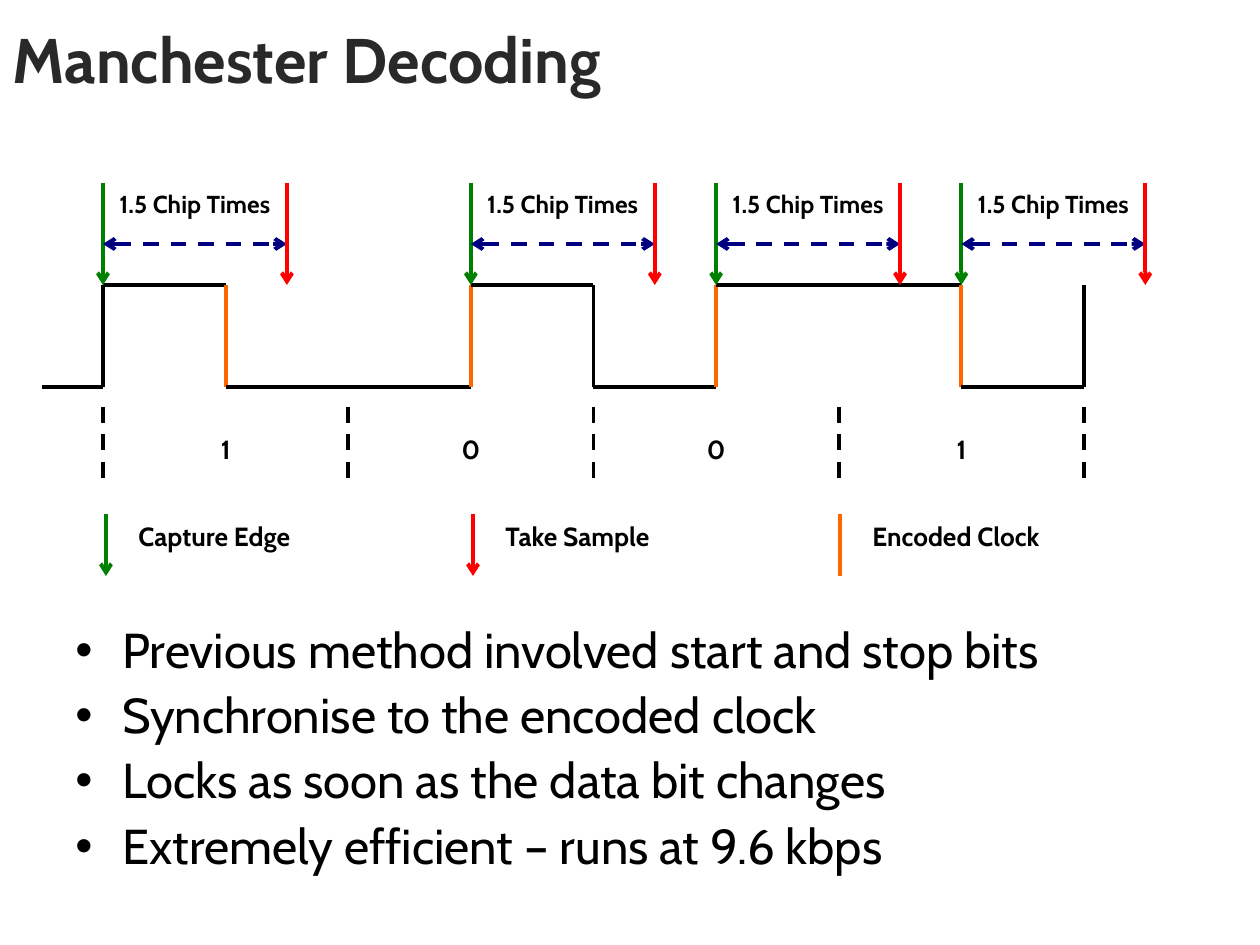
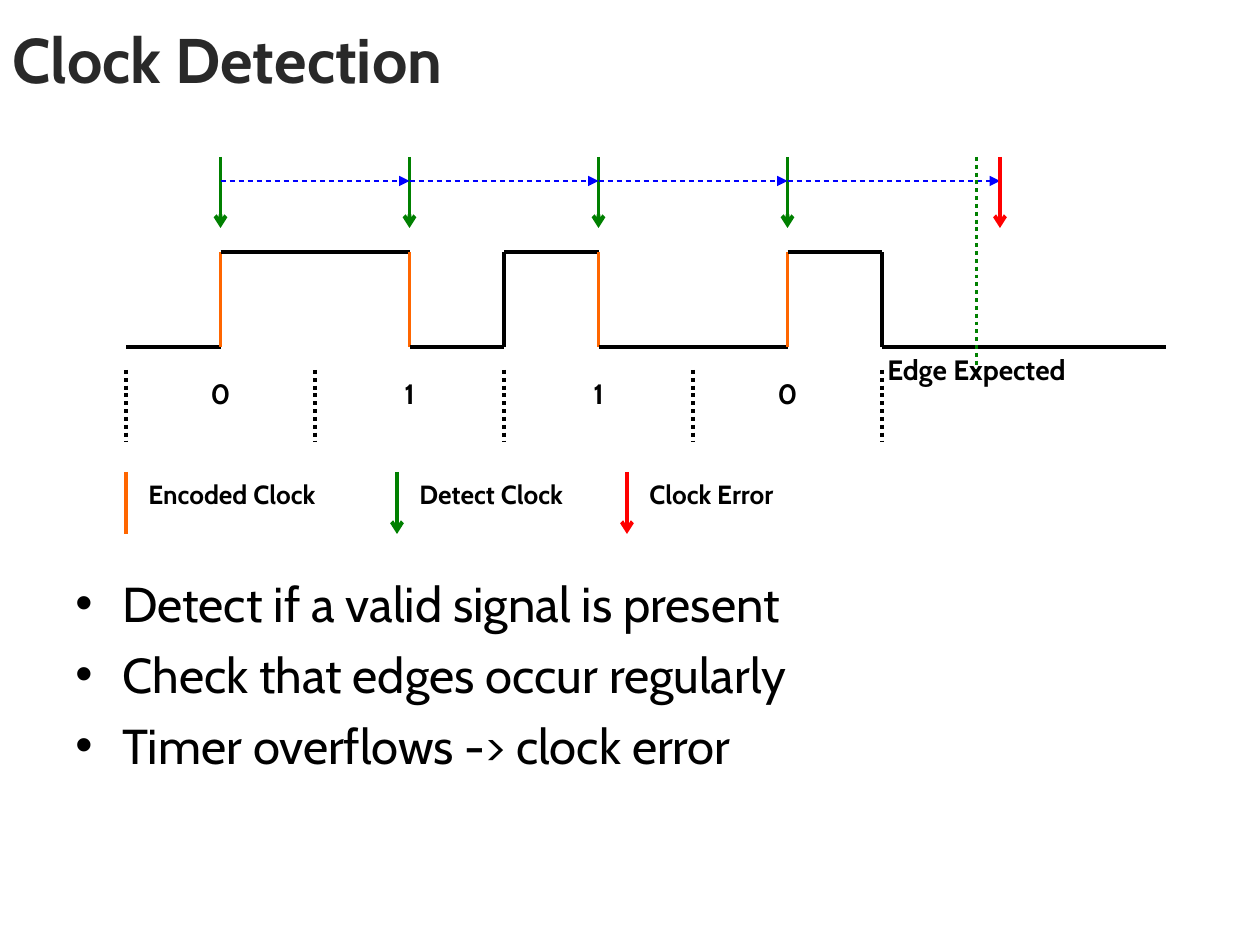
from itertools import groupby, pairwise
from lxml.etree import SubElement
from pptx import Presentation
from pptx.dml.color import RGBColor
from pptx.enum.dml import MSO_LINE
from pptx.enum.shapes import MSO_CONNECTOR
from pptx.enum.text import MSO_ANCHOR, MSO_AUTO_SIZE, PP_ALIGN
from pptx.oxml.ns import qn
from pptx.util import Pt

BLACK = RGBColor(0x00, 0x00, 0x00)
CHARCOAL = RGBColor(0x29, 0x29, 0x29)
GREEN = RGBColor(0x00, 0x80, 0x00)
RED = RGBColor(0xFF, 0x00, 0x00)
ORANGE = RGBColor(0xFF, 0x66, 0x00)
NAVY = RGBColor(0x00, 0x00, 0x80)
BLUE = RGBColor(0x00, 0x00, 0xFF)
FONT = "Cabin"
PX_PER_INCH = 126
CHIPS = 8

DECODING = {
    "title": "Manchester Decoding",
    "bullets": ["Previous method involved start and stop bits",
                "Synchronise to the encoded clock",
                "Locks as soon as the data bit changes",
                "Extremely efficient – runs at 9.6 kbps"],
    "bullet_box": (63, 620, 1134, 262), "bullet_spacing": 0.9,
    "chip_start": 103, "chip_span": 981,
    "levels": "LHLLHLHHLH", "wave_start": 42, "wave_end": 1084,
    "high": 285, "low": 387,
    "bits": "1001", "bit_box": (427, 82, 62), "bit_size": 15,
    "boundary": (407, 489), "boundary_dash": MSO_LINE.DASH,
    "legend": [(106, GREEN, "arrow", "Capture Edge"),
               (473, RED, "arrow", "Take Sample"),
               (840, ORANGE, None, "Encoded Clock")],
    "legend_top": 514, "legend_gap": 20,
}
CAPTURE_CHIPS = [0, 3, 5, 7]
SAMPLE_DELAY = 1.5

DETECTION = {
    "title": "Clock Detection",
    "bullets": ["Detect if a valid signal is present",
                "Check that edges occur regularly",
                "Timer overflows -> clock error"],
    "bullet_box": (63, 567, 1134, 305), "bullet_spacing": 1.0,
    "chip_start": 126, "chip_span": 756,
    "levels": "LLHHLHLLHL", "wave_start": 126, "wave_end": 1166,
    "high": 252, "low": 347,
    "bits": "0110", "bit_box": (370, 94, 71), "bit_size": 16,
    "boundary": (370, 441), "boundary_dash": MSO_LINE.ROUND_DOT,
    "legend": [(126, ORANGE, None, "Encoded Clock"),
               (397, GREEN, "arrow", "Detect Clock"),
               (627, RED, "arrow", "Clock Error")],
    "legend_top": 472, "legend_gap": 10,
}
DETECT_CHIPS = [1, 3, 5, 7]
EXPECTED_CHIP = 9
ERROR_X = 1000


def px(length):
    return round(length * 914400 / PX_PER_INCH)


def add_span(para, text, size, bold=False, color=BLACK):
    span = para.add_run()
    span.text = text
    span.font.name = FONT
    span.font.size = Pt(size)
    span.font.bold = bold
    span.font.color.rgb = color


def add_box(page, left, top, width, height):
    box = page.shapes.add_textbox(px(left), px(top), px(width), px(height))
    box.text_frame.word_wrap = True
    return box


def add_label(page, text, left, top, width, height, size, align=PP_ALIGN.CENTER):
    para = add_box(page, left, top, width, height).text_frame.paragraphs[0]
    para.alignment = align
    add_span(para, text, size, bold=True)


def add_line(page, x1, y1, x2, y2, color=BLACK, width=2.25, dash=None, head=None, tail=None):
    connector = page.shapes.add_connector(MSO_CONNECTOR.STRAIGHT, px(x1), px(y1), px(x2), px(y2))
    connector.line.color.rgb = color
    connector.line.width = Pt(width)
    if dash:
        connector.line.dash_style = dash
    stroke = connector.line._get_or_add_ln()
    for tag, arrow in (("a:headEnd", head), ("a:tailEnd", tail)):
        if arrow:
            SubElement(stroke, qn(tag), type=arrow)
    SubElement(connector._element.spPr, qn("a:effectLst"))


def add_title(page, text):
    title = page.shapes.title
    title.left, title.top, title.width, title.height = px(0), px(0), px(1260), px(116)
    frame = title.text_frame
    frame.auto_size = MSO_AUTO_SIZE.NONE
    frame.vertical_anchor = MSO_ANCHOR.MIDDLE
    para = frame.paragraphs[0]
    para.alignment = PP_ALIGN.LEFT
    add_span(para, text, 36, bold=True, color=CHARCOAL)


def add_bullets(page, lines, place, spacing):
    frame = add_box(page, *place).text_frame
    for index, text in enumerate(lines):
        para = frame.add_paragraph() if index else frame.paragraphs[0]
        para.line_spacing = spacing
        para.space_before = Pt(7 if index else 0)
        properties = para._p.get_or_add_pPr()
        properties.set("marL", str(px(47)))
        properties.set("indent", str(px(-47)))
        SubElement(properties, qn("a:buFont"), typeface="Arial")
        SubElement(properties, qn("a:buChar"), char="•")
        add_span(para, text, 28)


def chip_x(content, chip):
    return content["chip_start"] + content["chip_span"] * chip / CHIPS


def add_wave(page, content):
    heights = {"H": content["high"], "L": content["low"]}
    left, edge = content["wave_start"], -1
    runs = [(level, len(list(group))) for level, group in groupby(content["levels"])]
    for index, (level, length) in enumerate(runs):
        edge += length
        last = index == len(runs) - 1
        right = content["wave_end"] if last else chip_x(content, edge)
        if right > left:
            add_line(page, left, heights[level], right, heights[level])
        if not last:
            color = ORANGE if edge % 2 else BLACK
            add_line(page, right, content["high"], right, content["low"], color)
        left = right


def add_bits(page, content):
    top, width, height = content["bit_box"]
    for index, bit in enumerate(content["bits"]):
        center = chip_x(content, 2 * index + 1)
        add_label(page, bit, center - width / 2, top, width, height, content["bit_size"])
    start, end = content["boundary"]
    for chip in range(0, CHIPS + 1, 2):
        x = chip_x(content, chip)
        add_line(page, x, start, x, end, dash=content["boundary_dash"])


def add_legend(page, content):
    top = content["legend_top"]
    for x, color, tail, text in content["legend"]:
        add_line(page, x, top, x, top + 62, color, tail=tail)
        add_label(page, text, x + content["legend_gap"], top, 286, 62, 15, PP_ALIGN.LEFT)


def add_signal_page(deck, content):
    page = deck.slides.add_slide(deck.slide_layouts[5])
    add_title(page, content["title"])
    add_bullets(page, content["bullets"], content["bullet_box"], content["bullet_spacing"])
    add_wave(page, content)
    add_bits(page, content)
    add_legend(page, content)
    return page


def add_sample_timing(page):
    for chip in CAPTURE_CHIPS:
        capture = chip_x(DECODING, chip)
        sample = chip_x(DECODING, chip + SAMPLE_DELAY)
        add_line(page, capture, 183, capture, 285, GREEN, tail="arrow")
        add_line(page, capture, 244, sample, 244, NAVY, dash=MSO_LINE.DASH,
                 head="arrow", tail="arrow")
        add_label(page, "1.5 Chip Times", (capture + sample) / 2 - 133, 183, 266, 62, 14)
        add_line(page, sample, 183, sample, 285, RED, tail="arrow")


def add_edge_timing(page):
    detections = [chip_x(DETECTION, chip) for chip in DETECT_CHIPS]
    for x in detections:
        add_line(page, x, 157, x, 228, GREEN, tail="arrow")
    for start, end in pairwise(detections + [ERROR_X]):
        add_line(page, start, 181, end, 181, BLUE, 0.75, MSO_LINE.DASH, tail="triangle")
    add_line(page, ERROR_X, 157, ERROR_X, 228, RED, tail="arrow")
    expected = chip_x(DETECTION, EXPECTED_CHIP)
    add_line(page, expected, 157, expected, 370, GREEN, dash=MSO_LINE.ROUND_DOT)
    add_label(page, "Edge Expected", expected - 104, 346, 208, 71, 16)


def main():
    deck = Presentation()
    deck.slide_width, deck.slide_height = px(1260), px(945)
    add_sample_timing(add_signal_page(deck, DECODING))
    add_edge_timing(add_signal_page(deck, DETECTION))
    deck.save("out.pptx")


if __name__ == "__main__":
    main()
